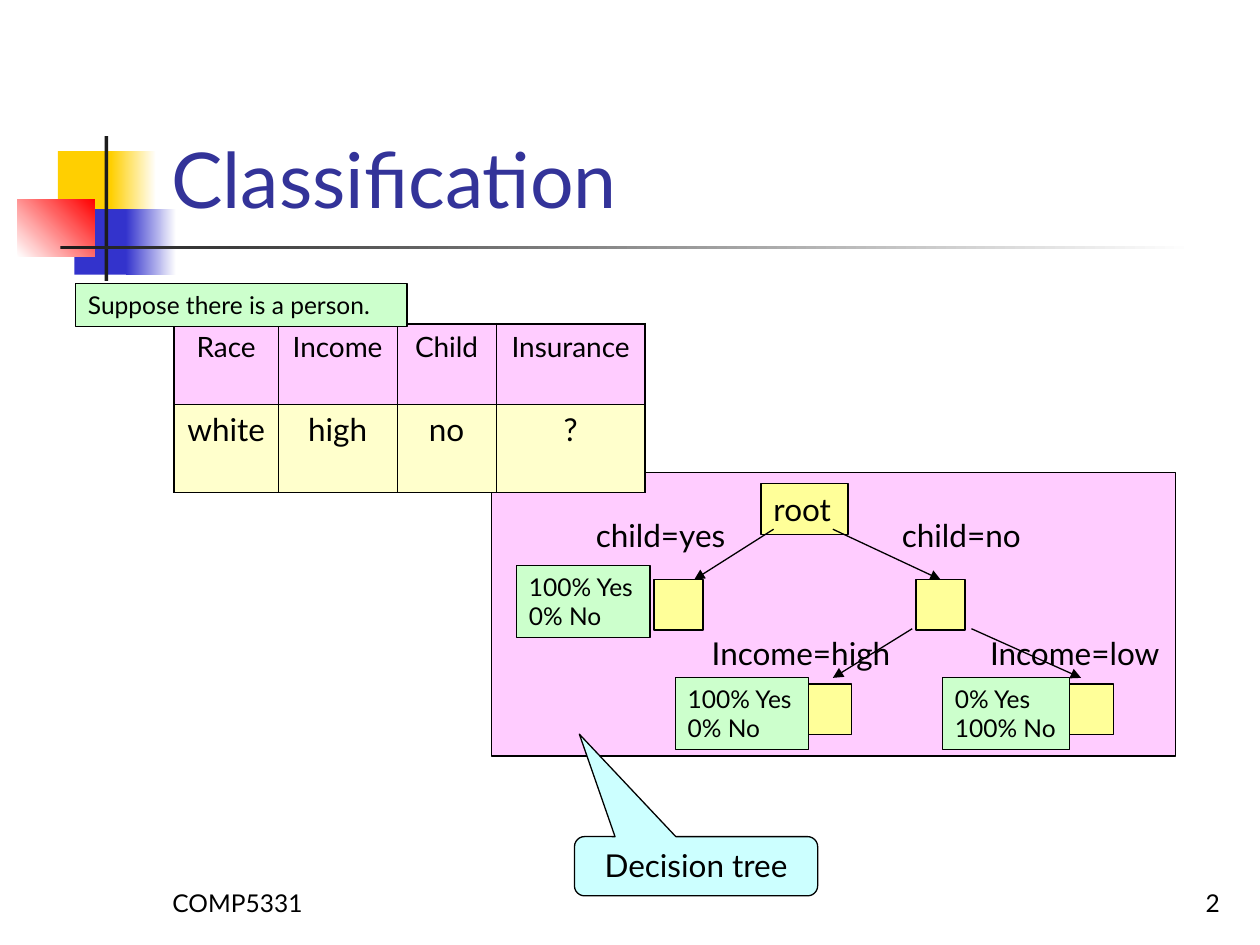
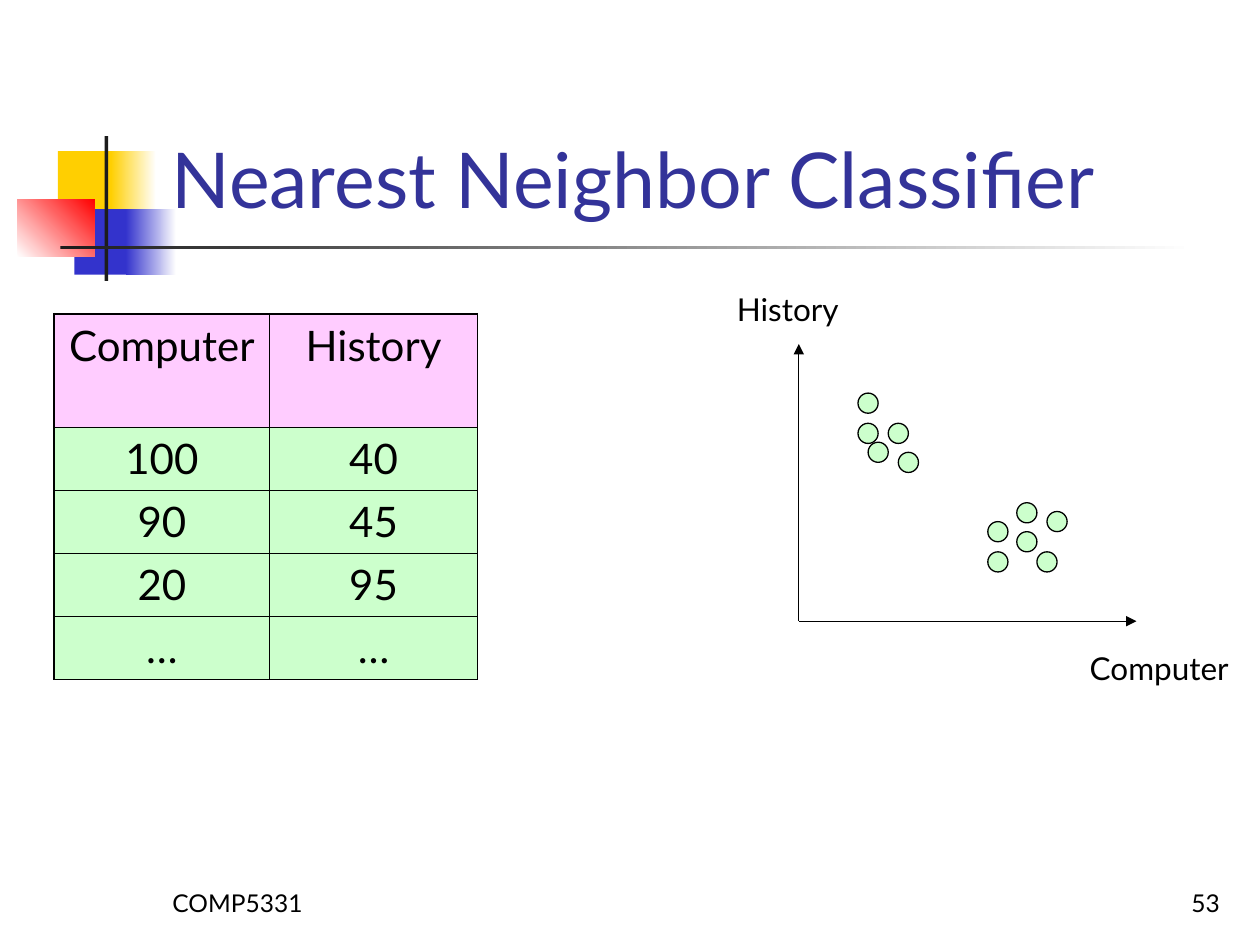
from dataclasses import dataclass

import pptx
import pptx.dml.color
import pptx.enum.dml
import pptx.enum.shapes
import pptx.enum.text
import pptx.oxml
import pptx.oxml.ns
import pptx.util
from lxml import etree

Inches = pptx.util.Inches
Pt = pptx.util.Pt
SHAPE = pptx.enum.shapes.MSO_SHAPE
ALIGN = pptx.enum.text.PP_ALIGN
ANCHOR = pptx.enum.text.MSO_ANCHOR

FONT = "Lato"
BLACK, WHITE, INK, INDIGO = "000000", "FFFFFF", "1C1C1C", "333399"
GOLD, BLUE, RED = "FFCF01", "3333CC", "FF0000"
PINK, CREAM, YELLOW, GREEN, CYAN = "FFCCFF", "FFFFCC", "FFFF99", "CCFFCC", "CCFFFF"
COURSE = "COMP5331"
HAIRLINE, OUTLINE, FRAME = 0.45, 0.75, 1.08
NODE, DOT = 0.39, 0.16


@dataclass(frozen=True)
class Band:
    left: float
    top: float
    width: float
    height: float
    color: str
    fade_to: str = ""
    angle: float = 0


@dataclass(frozen=True)
class Edge:
    start: tuple[float, float]
    end: tuple[float, float]
    label: str
    label_at: tuple[float, float]
    label_width: float


@dataclass(frozen=True)
class Leaf:
    text: str
    left: float
    top: float
    width: float


@dataclass(frozen=True)
class Grid:
    left: float
    top: float
    widths: list[float]
    heights: list[float]
    rows: list[list[str]]
    body_fill: str
    head_size: float
    body_size: float


BANDS = [
    Band(0.46, 1.2, 0.48, 0.52, GOLD),
    Band(0.88, 1.2, 0.36, 0.52, GOLD, WHITE),
    Band(0.59, 1.66, 0.46, 0.52, BLUE),
    Band(1, 1.66, 0.4, 0.52, BLUE, WHITE),
    Band(0.14, 1.58, 0.61, 0.46, WHITE, RED, 45),
    Band(0.83, 1.08, 0.03, 1.15, INK),
    Band(0.48, 1.95, 9, 0.03, INK, WHITE),
]

CHILD_NO_NODE = (7.27, 4.6)
NODES = [(5.19, 4.6), CHILD_NO_NODE, (6.37, 5.43), (8.45, 5.43)]
CHILD_NO_EDGE = Edge((6.61, 4.2), (7.47, 4.6), "child=no", (7.06, 4.05), 1.2)
EDGES = [
    Edge((6.14, 4.2), (5.51, 4.6), "child=yes", (4.63, 4.05), 1.29),
    CHILD_NO_EDGE,
    Edge((7.24, 4.99), (6.61, 5.38), "Income=high", (5.55, 4.98), 1.75),
    Edge((7.71, 4.99), (8.58, 5.38), "Income=low", (7.76, 4.98), 1.64),
]
LEAVES = [
    Leaf("100% Yes\n0% No", 4.1, 4.49, 1.06),
    Leaf("100% Yes\n0% No", 5.36, 5.38, 1.06),
    Leaf("0% Yes\n100% No", 7.48, 5.38, 1.01),
]
PERSON = Grid(1.38, 2.57, [0.83, 0.94, 0.79, 1.18], [0.64, 0.7],
              [["Race", "Income", "Child", "Insurance"], ["white", "high", "no", "?"]],
              CREAM, 16, 18)

SCORES = Grid(0.43, 2.49, [1.71, 1.65], [0.9] + [0.5] * 4,
              [["Computer", "History"], ["100", "40"], ["90", "45"], ["20", "95"], ["…", "…"]],
              GREEN, 24, 24)
HISTORY_CLUSTER = [(6.81, 3.12), (6.81, 3.36), (7.05, 3.36), (6.89, 3.51), (7.13, 3.59)]
COMPUTER_CLUSTER = [(7.84, 4.14), (8.07, 3.99), (8.07, 4.22), (8.31, 4.06),
                    (7.84, 4.38), (8.23, 4.38)]
AXIS_ORIGIN = (6.34, 4.93)


def rgb(color: str):
    return pptx.dml.color.RGBColor.from_string(color)


def write(tf, text: str, *, size: float = 18, color: str = BLACK,
          align=ALIGN.LEFT, anchor=ANCHOR.TOP) -> None:
    tf.word_wrap = True
    tf.auto_size = pptx.enum.text.MSO_AUTO_SIZE.NONE
    tf.vertical_anchor = anchor
    for i, line in enumerate(text.split("\n")):
        p = tf.add_paragraph() if i else tf.paragraphs[0]
        p.alignment = align
        r = p.add_run()
        r.text = line
        r.font.name, r.font.size = FONT, Pt(size)
        r.font.color.rgb = rgb(color)


def add_label(s, text: str, left: float, top: float, width: float,
              height: float = 0.4, **fmt) -> None:
    sp = s.shapes.add_textbox(Inches(left), Inches(top), Inches(width), Inches(height))
    write(sp.text_frame, text, **fmt)


def add_box(s, left: float, top: float, width: float, height: float, fill: str,
            text: str = "", kind=SHAPE.RECTANGLE, outlined: bool = True, **fmt):
    sp = s.shapes.add_shape(kind, Inches(left), Inches(top), Inches(width), Inches(height))
    sp.shadow.inherit = False
    sp.fill.solid()
    sp.fill.fore_color.rgb = rgb(fill)
    if outlined:
        sp.line.color.rgb = rgb(BLACK)
        sp.line.width = Pt(OUTLINE)
    else:
        sp.line.fill.background()
    if text:
        write(sp.text_frame, text, **fmt)
    return sp


def add_arrow(s, start: tuple[float, float], end: tuple[float, float]):
    c = s.shapes.add_connector(pptx.enum.shapes.MSO_CONNECTOR.STRAIGHT,
                               *map(Inches, start + end))
    c.line.color.rgb = rgb(BLACK)
    c.line.width = Pt(OUTLINE)
    qn = pptx.oxml.ns.qn
    etree.SubElement(c.line._get_or_add_ln(), qn("a:tailEnd"), type="triangle")
    etree.SubElement(c._element.spPr, qn("a:effectLst"))
    return c


def add_band(s, band: Band) -> None:
    sp = add_box(s, band.left, band.top, band.width, band.height, band.color, outlined=False)
    if band.fade_to:
        sp.fill.gradient()
        sp.fill.gradient_angle = band.angle
        for stop, color, position in zip(sp.fill.gradient_stops,
                                         (band.color, band.fade_to), (0, 1)):
            stop.color.rgb = rgb(color)
            stop.position = position


def set_border(cell, side: str, width: float) -> None:
    """Draw one cell side: L, R, T or B, called in that order."""
    ln = pptx.oxml.parse_xml(
        f'<a:ln{side} {pptx.oxml.ns.nsdecls("a")} w="{Pt(width)}">'
        f'<a:solidFill><a:srgbClr val="{BLACK}"/></a:solidFill></a:ln{side}>')
    cell._tc.get_or_add_tcPr().append(ln)


def add_grid(s, grid: Grid) -> None:
    last_row, last_col = len(grid.heights) - 1, len(grid.widths) - 1
    table = s.shapes.add_table(last_row + 1, last_col + 1, Inches(grid.left), Inches(grid.top),
                               Inches(sum(grid.widths)), Inches(sum(grid.heights))).table
    table.first_row = table.horz_banding = False
    for column, width in zip(table.columns, grid.widths):
        column.width = Inches(width)
    for i, (row, height) in enumerate(zip(table.rows, grid.heights)):
        row.height = Inches(height)
        for j, cell in enumerate(row.cells):
            outer = {"L": j == 0, "R": j == last_col, "T": i == 0, "B": i == last_row}
            for side, is_outer in outer.items():
                set_border(cell, side, FRAME if is_outer else HAIRLINE)
            cell.fill.solid()
            cell.fill.fore_color.rgb = rgb(grid.body_fill if i else PINK)
            p = cell.text_frame.paragraphs[0]
            p.alignment = ALIGN.CENTER
            r = p.add_run()
            r.text = grid.rows[i][j]
            r.font.name = FONT
            r.font.size = Pt(grid.body_size if i else grid.head_size)
            r.font.color.rgb = rgb(BLACK)


def add_base_slide(prs, title: str, number: int):
    """Add a slide with the shared bands, title and footers."""
    s = prs.slides.add_slide(prs.slide_layouts[5])
    for band in BANDS:
        add_band(s, band)
    sp = s.shapes.title
    sp.left, sp.top, sp.width, sp.height = map(Inches, (1.26, 0.23, 8.52, 1.6))
    write(sp.text_frame, title, size=44, color=INDIGO, anchor=ANCHOR.BOTTOM)
    s.shapes._spTree.append(sp._element)  # title in front of the bands
    add_label(s, COURSE, 1.27, 6.83, 2.08, 0.5, size=14, anchor=ANCHOR.BOTTOM)
    add_label(s, str(number), 7.7, 6.83, 2.08, 0.5, size=14,
              align=ALIGN.RIGHT, anchor=ANCHOR.BOTTOM)
    return s


def build_decision_tree(prs) -> None:
    s = add_base_slide(prs, "Classification", 2)
    add_box(s, 3.9, 3.75, 5.43, 2.25, PINK)
    add_box(s, 6.04, 3.84, 0.69, 0.4, YELLOW, "root")
    nodes = {at: add_box(s, *at, NODE, 0.4, YELLOW) for at in NODES}
    for edge in EDGES:
        arrow = add_arrow(s, edge.start, edge.end)
        if edge is CHILD_NO_EDGE:
            arrow.end_connect(nodes[CHILD_NO_NODE], 0)
        add_label(s, edge.label, *edge.label_at, edge.label_width)
    for leaf in LEAVES:
        add_box(s, leaf.left, leaf.top, leaf.width, 0.57, GREEN, leaf.text, size=14)
    callout = add_box(s, 4.56, 6.64, 1.93, 0.47, CYAN, "Decision tree",
                      SHAPE.ROUNDED_RECTANGULAR_CALLOUT, align=ALIGN.CENTER)
    for i, value in enumerate((-0.48, -2.23, 0.17)):
        callout.adjustments[i] = value
    add_grid(s, PERSON)
    add_box(s, 0.6, 2.25, 2.63, 0.34, GREEN, "Suppose there is a person.", size=14)


def build_nearest_neighbor(prs) -> None:
    s = add_base_slide(prs, "Nearest Neighbor Classifier", 53)
    for at in HISTORY_CLUSTER + COMPUTER_CLUSTER:
        add_box(s, *at, DOT, DOT, GREEN, kind=SHAPE.OVAL)
    add_grid(s, SCORES)
    for axis_end in ((9.02, AXIS_ORIGIN[1]), (AXIS_ORIGIN[0], 2.73)):
        add_arrow(s, AXIS_ORIGIN, axis_end)
    add_label(s, "Computer", 8.55, 5.1, 1.38)
    add_label(s, "History", 5.75, 2.25, 1.04)


def main() -> None:
    prs = pptx.Presentation()
    prs.slide_width, prs.slide_height = Inches(10), Inches(7.5)
    build_decision_tree(prs)
    build_nearest_neighbor(prs)
    prs.save("out.pptx")


if __name__ == "__main__":
    main()
